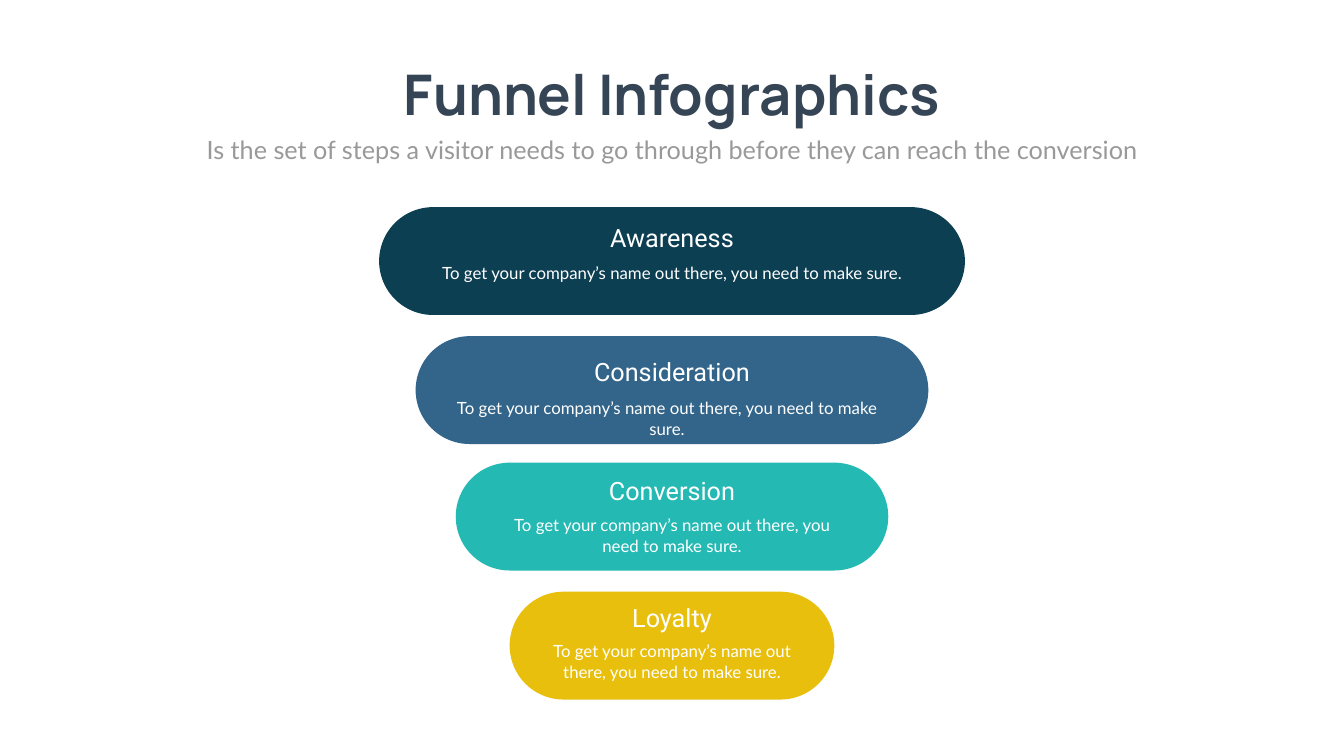
from pptx import Presentation
from pptx.dml.color import RGBColor
from pptx.enum import shapes, text
from pptx.util import Inches, Pt

WHITE = RGBColor(0xFF, 0xFF, 0xFF)
SLATE = RGBColor(0x36, 0x45, 0x56)
GREY = RGBColor(0x99, 0x99, 0x99)
NAVY = RGBColor(0x0D, 0x3F, 0x53)
BLUE = RGBColor(0x33, 0x65, 0x8A)
TEAL = RGBColor(0x25, 0xB9, 0xB4)
GOLD = RGBColor(0xE9, 0xBF, 0x0E)

# Content
TITLE = "Funnel Infographics"
SUBTITLE = "Is the set of steps a visitor needs to go through before they can reach the conversion"
DETAIL = "To get your company’s name out there, you need to make sure."

# name, colour, pill (top, width), heading and detail (centre, top, width, height)
STAGES = [
    ("Awareness", NAVY, (4.11, 11.62), (13.33, 4.34, 9.88, 1.02), (13.33, 5.16, 10.26, 0.73)),
    ("Consideration", BLUE, (6.67, 10.17), (13.33, 6.99, 8.65, 0.86), (13.23, 7.85, 8.98, 0.62)),
    ("Conversion", TEAL, (9.18, 8.58), (13.33, 9.35, 7.3, 0.86), (13.33, 10.17, 7.01, 0.91)),
    ("Loyalty", GOLD, (11.74, 6.44), (13.33, 11.88, 5.48, 0.86), (13.33, 12.67, 5.69, 1.11)),
]
PAGE_WIDTH, PAGE_HEIGHT = 26.66, 15
CENTRE = PAGE_WIDTH / 2
PILL_HEIGHT = 2.14


def frame(centre, top, width, height):
    """Lengths of a box centred on a vertical line."""
    return [Inches(value) for value in (centre - width / 2, top, width, height)]


def write(box, words, *, font, size, color=WHITE, bold=False, wrap=True,
          anchor=text.MSO_ANCHOR.TOP, inset=0.05):
    body = box.text_frame
    body.auto_size = text.MSO_AUTO_SIZE.NONE
    body.word_wrap = wrap
    body.vertical_anchor = anchor
    body.margin_left = body.margin_right = Inches(0.1)
    body.margin_top = body.margin_bottom = Inches(inset)
    para = body.paragraphs[0]
    para.alignment = text.PP_ALIGN.CENTER
    para.space_before = Pt(0)
    span = para.add_run()
    span.text = words
    span.font.name = font
    span.font.size = Pt(size)
    span.font.bold = bold
    span.font.color.rgb = color


def place(box, centre, top, width, height):
    box.left, box.top, box.width, box.height = frame(centre, top, width, height)


deck = Presentation()
deck.slide_width, deck.slide_height = Inches(PAGE_WIDTH), Inches(PAGE_HEIGHT)
page = deck.slides.add_slide(deck.slide_layouts[0])

# Title and subtitle
title, subtitle = page.placeholders
place(title, CENTRE, 1.12, 11.71, 1.45)
write(title, TITLE, font="Manrope", size=80, color=SLATE, bold=True, wrap=False,
      anchor=text.MSO_ANCHOR.MIDDLE)
place(subtitle, CENTRE, 2.61, 20.82, 0.71)
write(subtitle, SUBTITLE, font="Lato", size=36, color=GREY)

# Funnel stages
for name, color, (top, width), heading_spot, detail_spot in STAGES:
    pill = page.shapes.add_shape(shapes.MSO_SHAPE.ROUNDED_RECTANGLE,
                                 *frame(CENTRE, top, width, PILL_HEIGHT))
    pill.adjustments[0] = 0.5
    pill.shadow.inherit = False
    pill.fill.solid()
    pill.fill.fore_color.rgb = color
    pill.line.fill.background()

    heading = page.shapes.add_textbox(*frame(*heading_spot))
    write(heading, name, font="Roboto", size=36, inset=0.08)
    detail = page.shapes.add_textbox(*frame(*detail_spot))
    write(detail, DETAIL, font="Lato", size=24)

deck.save("out.pptx")
